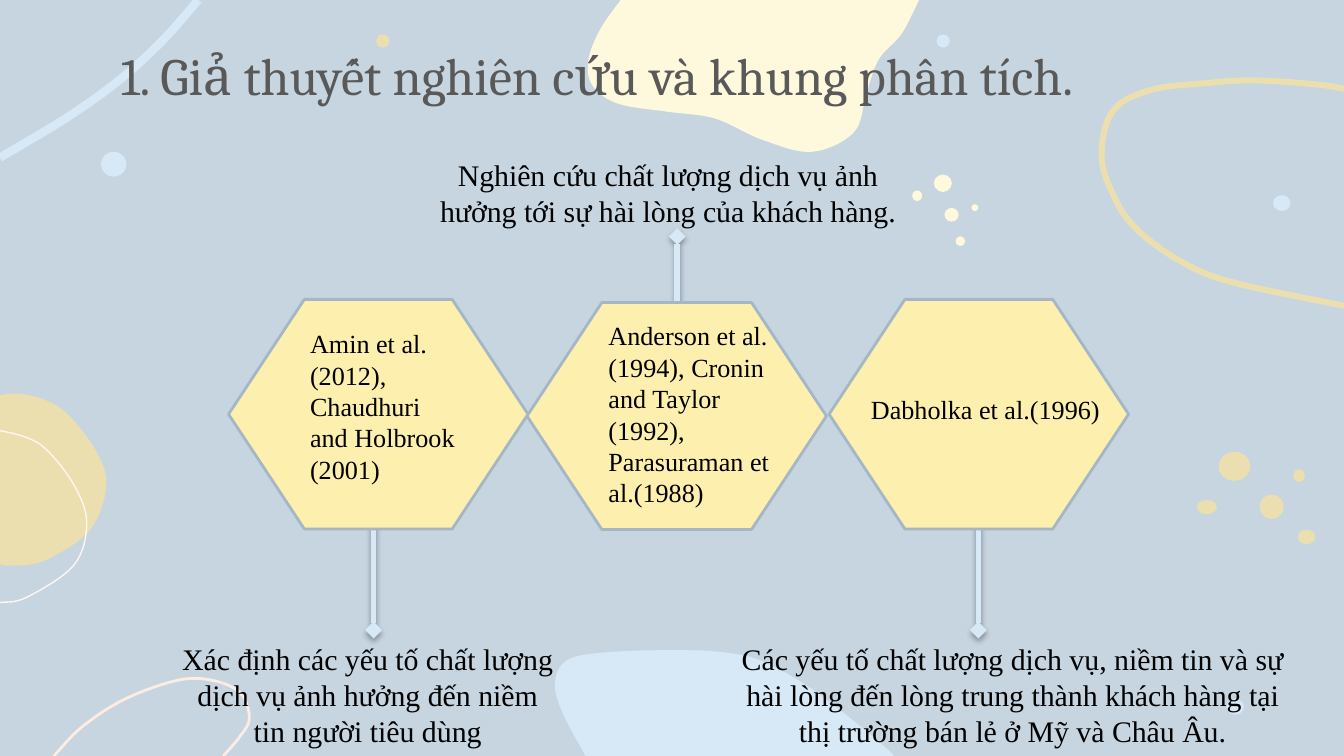
from lxml import etree
from pptx import Presentation
from pptx.dml.color import RGBColor
from pptx.enum.shapes import MSO_CONNECTOR, MSO_SHAPE
from pptx.enum.text import MSO_ANCHOR, MSO_AUTO_SIZE, PP_ALIGN
from pptx.oxml.ns import qn
from pptx.util import Cm, Pt

STRAIGHT = MSO_CONNECTOR.STRAIGHT
HEXAGON, OVAL = MSO_SHAPE.HEXAGON, MSO_SHAPE.OVAL
LEFT, CENTER = PP_ALIGN.LEFT, PP_ALIGN.CENTER
TOP, NO_FIT = MSO_ANCHOR.TOP, MSO_AUTO_SIZE.NONE
TITLE_ONLY = 5
CURVE_STEPS = 8

COLORS = {
    "background": "C7D5E0", "blue": "D7E9F7", "sand": "EBDFB0",
    "cream": "FEF8DC", "white": "FFF6F2", "pink": "FEEBE2",
    "hexagon": "FDEFAE", "border": "A5B7C5",
    "title": "595959", "text": "000000",
}

# Dots: left, top, width, height in cm
DOTS = {
    "blue": [(1.91, 2.87, 0.48, 0.47), (17.7, 0.65, 0.25, 0.25),
             (23.18, 13.21, 0.33, 0.3), (24.06, 3.69, 0.33, 0.3)],
    "sand": [(7.11, 0.65, 0.25, 0.25), (23.03, 8.54, 0.6, 0.55),
             (23.81, 9.35, 0.45, 0.46), (22.62, 9.45, 0.38, 0.27),
             (24.53, 10.01, 0.33, 0.28), (24.44, 8.87, 0.22, 0.24)],
    "cream": [(17.65, 3.3, 0.34, 0.33), (17.85, 3.93, 0.27, 0.26),
              (17.24, 3.6, 0.19, 0.2), (18.06, 4.47, 0.18, 0.18),
              (18.36, 3.86, 0.13, 0.13)],
}

# Blobs and strokes: points in cm, from one slide edge back to an edge
BLOBS = [
    ("sand", [(0, 7.47), (0.33, 7.44), (0.8, 7.54), (1.27, 7.82), (1.8, 8.5),
              (2.01, 9.17), (1.7, 10.02), (0.86, 10.59), (0.25, 10.69), (0, 10.67)]),
    ("cream", [(11.73, 0), (11.34, 0.56), (11.12, 1.14), (11.2, 1.62), (11.68, 1.96),
               (12.6, 2.11), (13.51, 2.24), (14.4, 2.64), (15.34, 2.87), (16.14, 2.5),
               (16.38, 1.75), (16.61, 1.12), (17.04, 0.64), (17.37, 0)]),
    ("blue", [(11.07, 14.29), (10.64, 13.49), (10.49, 12.93), (10.69, 12.5),
              (11.35, 12.34), (12.75, 12.29), (13.75, 12.34), (14.45, 12.52),
              (15.47, 13.11), (16.76, 14.15), (16.84, 14.29)]),
]
STROKES = [
    ("blue", 4.5, [(3.75, 0), (3.07, 0.77), (2.25, 1.52), (1.27, 2.22), (0, 2.98)]),
    ("sand", 3.25, [(25.4, 1.68), (24.92, 1.6), (23.7, 1.52), (22.81, 1.57),
                    (21.75, 1.7), (21.03, 2.1), (20.82, 2.95), (21.06, 3.73),
                    (21.49, 4.34), (22.3, 4.93), (23.27, 5.33), (25.4, 5.78)]),
    ("white", 0.75, [(0, 8.14), (0.5, 8.27), (0.9, 8.52), (1.4, 9.17), (1.64, 9.88),
                     (1.4, 10.68), (0.51, 11.29), (0, 11.39)]),
    ("pink", 1.5, [(1.02, 14.29), (1.55, 13.74), (2.37, 13.21), (3.4, 12.85),
                   (4.1, 12.88), (4.57, 13.13), (4.71, 13.59), (4.52, 13.94),
                   (4.22, 14.29)]),
]

# Each study: hexagon box, connector (x, start y, end y), author and finding texts
STUDIES = [
    ((4.32, 5.66, 5.66, 4.34), (7.06, 9.83, 11.91),
     ((5.61, 6.07, 3.3, 3.25), "Amin et al. (2012), Chaudhuri and Holbrook (2001)"),
     ((3.18, 11.99, 7.54, 2.31),
      "Xác định các yếu tố chất lượng dịch vụ ảnh hưởng đến niềm tin người tiêu dùng")),
    ((9.96, 5.72, 5.66, 4.29), (12.8, 5.77, 4.47),
     ((11.25, 5.92, 3.71, 3.84),
      "Anderson et al.(1994), Cronin and Taylor (1992), Parasuraman et al.(1988)"),
     ((8, 2.84, 9.25, 1.63),
      "Nghiên cứu chất lượng dịch vụ ảnh hưởng tới sự hài lòng của khách hàng.")),
    ((15.67, 5.66, 5.66, 4.34), (18.49, 9.83, 11.91),
     ((16.21, 7.32, 5.26, 0.86), "Dabholka et al.(1996)"),
     ((13.69, 11.99, 10.9, 2.31),
      "Các yếu tố chất lượng dịch vụ, niềm tin và sự hài lòng đến lòng trung thành "
      "khách hàng tại thị trường bán lẻ ở Mỹ và Châu Âu.")),
]


def color(name):
    return RGBColor.from_string(COLORS[name])


def smooth_points(points):
    """Return points on a Catmull-Rom curve through the given points."""
    padded = [points[0], *points, points[-1]]
    curve = [points[0]]
    for a, b, c, d in zip(padded, padded[1:], padded[2:], padded[3:]):
        for step in range(1, CURVE_STEPS + 1):
            t = step / CURVE_STEPS
            curve.append(tuple(
                q + t * (r - p) / 2
                + t ** 2 * (2 * p - 5 * q + 4 * r - s) / 2
                + t ** 3 * (3 * q - p - 3 * r + s) / 2
                for p, q, r, s in zip(a, b, c, d)))
    return curve


class SlideBuilder:
    """Holds the current slide and draws its elements in one style."""

    title_font, body_font = "Cambria", "Times New Roman"

    def __init__(self, deck):
        self.slide = deck.slides.add_slide(deck.slide_layouts[TITLE_ONLY])
        self.shapes = self.slide.shapes
        background = self.slide.background.fill
        background.solid()
        background.fore_color.rgb = color("background")

    def paint(self, shape, fill=None, line=None, width=0):
        shape.shadow.inherit = False
        if fill:
            shape.fill.solid()
            shape.fill.fore_color.rgb = color(fill)
        else:
            shape.fill.background()
        if line:
            shape.line.color.rgb = color(line)
            shape.line.width = Pt(width)
        else:
            shape.line.fill.background()

    def dot(self, box, fill):
        self.paint(self.shapes.add_shape(OVAL, *map(Cm, box)), fill)

    def curve(self, points, closed, **paint):
        start, *rest = [(Cm(x), Cm(y)) for x, y in smooth_points(points)]
        builder = self.shapes.build_freeform(*start)
        builder.add_line_segments(rest, close=closed)
        self.paint(builder.convert_to_shape(), **paint)

    def hexagon(self, box):
        shape = self.shapes.add_shape(HEXAGON, *map(Cm, box))
        shape.adjustments[0] = 0.33
        self.paint(shape, "hexagon", "border", 1.5)

    def diamond_line(self, x, start, end):
        line = self.shapes.add_connector(STRAIGHT, Cm(x), Cm(start), Cm(x), Cm(end))
        line.line.color.rgb = color("blue")
        line.line.width = Pt(3)
        properties = line._element.spPr
        etree.SubElement(properties.find(qn("a:ln")), qn("a:tailEnd"), type="diamond")
        effects = etree.SubElement(properties, qn("a:effectLst"))
        shadow = etree.SubElement(effects, qn("a:outerShdw"), blurRad="40000",
                                  dist="23000", dir="5400000", rotWithShape="0")
        black = etree.SubElement(shadow, qn("a:srgbClr"), val="000000")
        etree.SubElement(black, qn("a:alpha"), val="35000")

    def fill_frame(self, frame, text, font, size, ink, align):
        frame.word_wrap = True
        frame.auto_size = NO_FIT
        frame.vertical_anchor = TOP
        para = frame.paragraphs[0]
        para.alignment = align
        span = para.add_run()
        span.text = text
        span.font.name = font
        span.font.size = Pt(size)
        span.font.color.rgb = color(ink)

    def text(self, box, text, size, align):
        frame = self.shapes.add_textbox(*map(Cm, box)).text_frame
        self.fill_frame(frame, text, self.body_font, size, "text", align)

    def title(self, box, text):
        title = self.shapes.title
        title.left, title.top, title.width, title.height = map(Cm, box)
        title.text_frame.margin_top = title.text_frame.margin_bottom = Cm(0.25)
        self.fill_frame(title.text_frame, text, self.title_font, 28, "title", CENTER)
        # Bring the title in front of the decoration
        self.shapes._spTree.append(title._element)


def main():
    deck = Presentation()
    deck.slide_width, deck.slide_height = Cm(25.4), Cm(14.29)
    page = SlideBuilder(deck)

    for fill, boxes in DOTS.items():
        for box in boxes:
            page.dot(box, fill)
    for fill, points in BLOBS:
        page.curve(points, True, fill=fill)
    for line, width, points in STROKES:
        page.curve(points, False, line=line, width=width)

    page.title((0.51, 0.56, 21.54, 1.45), "1. Giả thuyết nghiên cứu và khung phân tích.")
    for hexagon, connector, _, _ in STUDIES:
        page.diamond_line(*connector)
        page.hexagon(hexagon)
    for _, _, authors, finding in STUDIES:
        page.text(*authors, 14, LEFT)
        page.text(*finding, 16, CENTER)

    deck.save("out.pptx")


if __name__ == "__main__":
    main()
